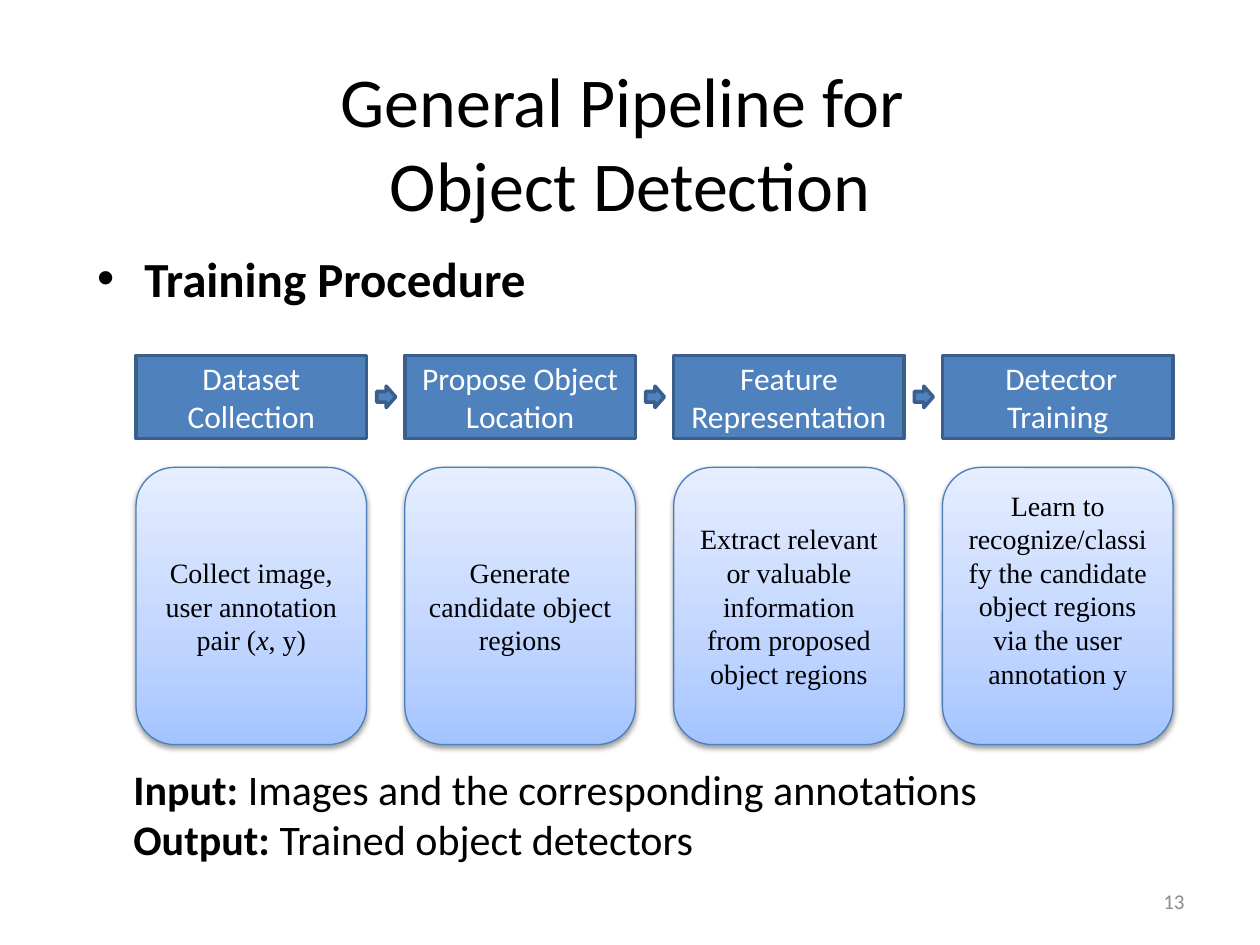
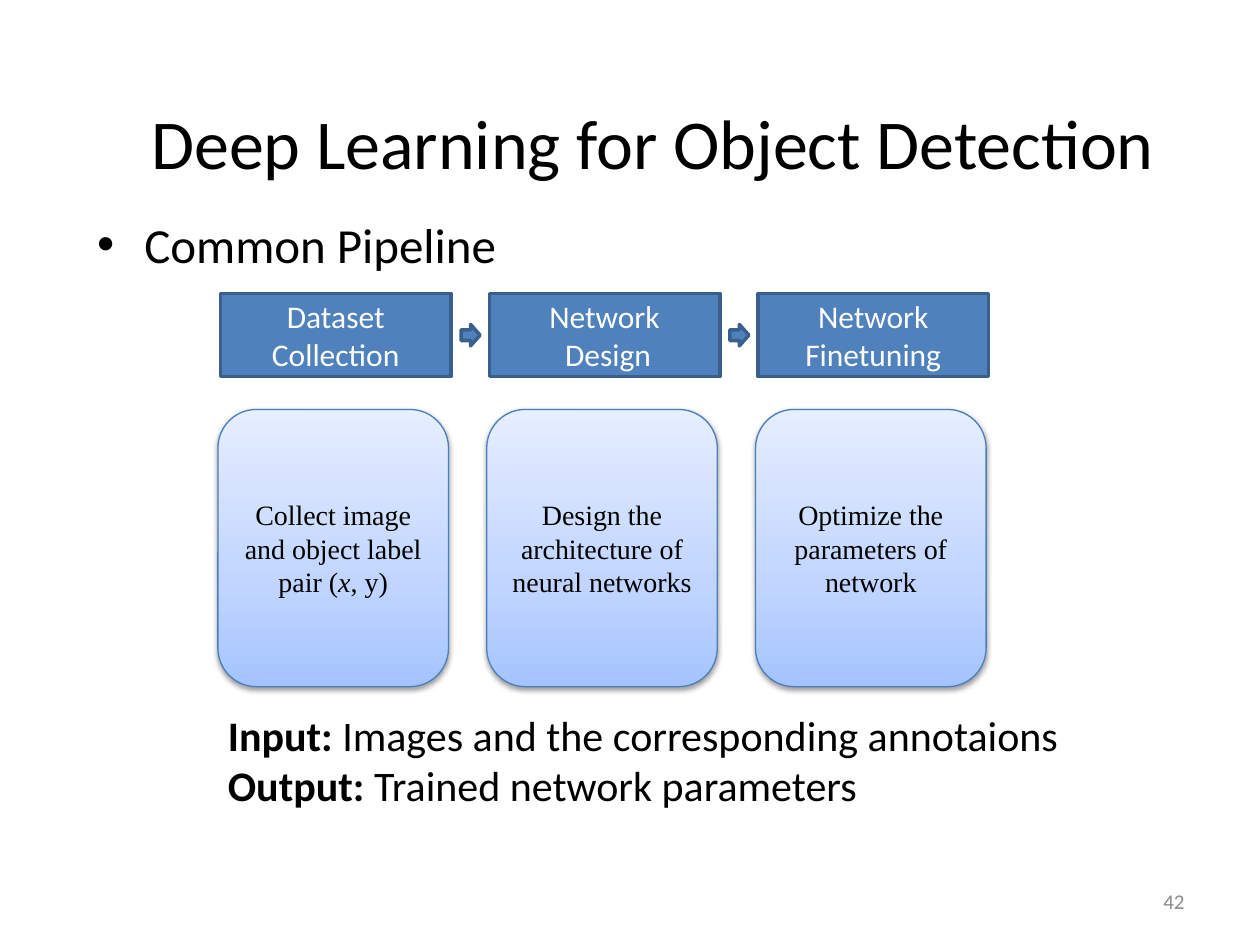
from copy import deepcopy
from dataclasses import dataclass

from pptx import Presentation
from pptx.dml.color import RGBColor
from pptx.enum import shapes, text
from pptx.oxml import parse_xml
from pptx.oxml.ns import nsdecls
from pptx.util import Inches, Pt


@dataclass(frozen=True)
class Theme:
    black: str = "000000"
    white: str = "FFFFFF"
    grey: str = "8C8C8C"
    step_fill: str = "4F81BD"
    step_line: str = "3A5F8C"
    card_line: str = "4B7EBC"
    card_stops: tuple = ((0, "A4C4FF"), (0.35, "BFD4FF"), (1, "E6EEFF"))
    sans: str = "Calibri"
    serif: str = "Times New Roman"
    title: int = 40
    body: int = 28
    summary: int = 24
    step: int = 18
    card: int = 16
    number: int = 12


THEME = Theme()
BOLD, ITALIC = {"bold": True}, {"italic": True}

# Pipeline grid, in inches
PITCH = 6.4 / 3
BOX_WIDTH, STEP_HEIGHT, CARD_HEIGHT = 1.83, 0.66, 2.2
ARROW_WIDTH, ARROW_HEIGHT, ARROW_OFFSET = 0.15, 0.17, 1.91

SHADOW = (
    f'<a:outerShdw {nsdecls("a")} blurRad="40000" dist="20000" dir="5400000" '
    'rotWithShape="0"><a:srgbClr val="000000"><a:alpha val="38000"/></a:srgbClr>'
    "</a:outerShdw>"
)


def box(left, top, width, height):
    return [Inches(value) for value in (left, top, width, height)]


def write(frame, paragraphs, size, color, font=THEME.sans,
          align=text.PP_ALIGN.CENTER, anchor=text.MSO_ANCHOR.MIDDLE):
    """Fill a frame; each paragraph is a string or a list of (text, format) runs."""
    frame.word_wrap = True
    frame.auto_size = text.MSO_AUTO_SIZE.NONE
    frame.vertical_anchor = anchor
    for index, content in enumerate(paragraphs):
        paragraph = frame.add_paragraph() if index else frame.paragraphs[0]
        paragraph.alignment = align
        paragraph.space_before = Pt(0)
        runs = [(content, {})] if isinstance(content, str) else content
        for words, extra in runs:
            # A line feed in a run becomes a line break
            for part, line in enumerate(words.split("\n")):
                if part:
                    paragraph.add_line_break()
                run = paragraph.add_run()
                run.text = line
                run.font.color.rgb = RGBColor.from_string(color)
                formats = {"name": font, "size": Pt(size), **extra}
                for key, value in formats.items():
                    setattr(run.font, key, value)


def place(placeholder, area):
    for key, value in zip(("left", "top", "width", "height"), area):
        setattr(placeholder, key, value)


def outline(shape, color, width):
    shape.line.color.rgb = RGBColor.from_string(color)
    shape.line.width = Pt(width)
    shape.shadow.inherit = False


def add_solid(slide, kind, area):
    solid = slide.shapes.add_shape(kind, *area)
    solid.fill.solid()
    solid.fill.fore_color.rgb = RGBColor.from_string(THEME.step_fill)
    outline(solid, THEME.step_line, 2)
    return solid


def add_step(slide, left, top, label):
    step = add_solid(slide, shapes.MSO_SHAPE.RECTANGLE,
                     box(left, top, BOX_WIDTH, STEP_HEIGHT))
    write(step.text_frame, label, THEME.step, THEME.white)


def add_card(slide, left, top, description, bottom_inset=0.05):
    card = slide.shapes.add_shape(shapes.MSO_SHAPE.ROUNDED_RECTANGLE,
                                  *box(left, top, BOX_WIDTH, CARD_HEIGHT))
    # Three-stop gradient, darkest at the bottom
    card.fill.gradient()
    card.fill.gradient_angle = 90
    first_stop = card._element.spPr.find(".//{*}gs")
    first_stop.addnext(deepcopy(first_stop))
    for stop, (position, color) in zip(card.fill.gradient_stops, THEME.card_stops):
        stop.position = position
        stop.color.rgb = RGBColor.from_string(color)
    outline(card, THEME.card_line, 0.75)
    card._element.spPr.find("{*}effectLst").append(parse_xml(SHADOW))
    card.text_frame.margin_bottom = Inches(bottom_inset)
    write(card.text_frame, [description], THEME.card, THEME.black, THEME.serif)


def add_pipeline(slide, steps, step_left, step_top, card_left, card_top):
    """Draw a row of steps with arrows between them and a card under each."""
    for index, (label, description, *inset) in enumerate(steps):
        shift = index * PITCH
        add_step(slide, step_left + shift, step_top, label)
        add_card(slide, card_left + shift, card_top, description, *inset)
        if index < len(steps) - 1:
            arrow_top = step_top + (STEP_HEIGHT - ARROW_HEIGHT) / 2
            add_solid(slide, shapes.MSO_SHAPE.RIGHT_ARROW,
                      box(step_left + shift + ARROW_OFFSET, arrow_top,
                          ARROW_WIDTH, ARROW_HEIGHT))


def add_summary(slide, left, top, inputs, outputs):
    summary = slide.shapes.add_textbox(*box(left, top, 7.12, 0.91))
    write(summary.text_frame,
          [[("Input: ", BOLD), (inputs, {})], [("Output: ", BOLD), (outputs, {})]],
          THEME.summary, THEME.black, align=text.PP_ALIGN.LEFT,
          anchor=text.MSO_ANCHOR.TOP)


def add_page(deck, title, title_width, bullet, body_top, body_width, number):
    """Start a slide with its title, bullet and page number."""
    slide = deck.slides.add_slide(deck.slide_layouts[1])
    heading, body = slide.placeholders
    place(heading, box(0.69, 0.4, title_width, 1.45))
    write(heading.text_frame, [title], THEME.title, THEME.black)
    place(body, box(0.67, body_top, body_width, 4.95))
    write(body.text_frame, [bullet], THEME.body, THEME.black,
          align=text.PP_ALIGN.LEFT, anchor=text.MSO_ANCHOR.TOP)
    page_number = slide.shapes.add_textbox(*box(7.17, 6.95, 2.33, 0.4))
    write(page_number.text_frame, [number], THEME.number, THEME.grey,
          align=text.PP_ALIGN.RIGHT)
    return slide


def main():
    deck = Presentation()
    deck.slide_width, deck.slide_height = Inches(10), Inches(7.5)

    # General training pipeline
    general = add_page(deck, "General Pipeline for \nObject Detection", 8.62,
                       [("Training Procedure", BOLD)], 1.92, 9, "13")
    general_steps = [
        (["Dataset Collection"],
         [("Collect image, user annotation pair (", {}), ("x", ITALIC), (", y)", {})]),
        (["Propose Object Location"], "Generate candidate object regions"),
        (["Feature Representation"],
         "Extract relevant or valuable information from proposed object regions"),
        ([" Detector", "Training"],
         "Learn to recognize/classify the candidate object regions "
         "via the user annotation y", 0.32),
    ]
    add_pipeline(general, general_steps, 1.08, 2.82, 1.08, 3.71)
    add_summary(general, 0.96, 6.01, "Images and the corresponding annotations",
                "Trained object detectors")

    # Deep learning pipeline
    deep = add_page(deck, "Deep Learning for Object Detection", 8.98,
                    "Common Pipeline", 1.65, 9.25, "42")
    deep_steps = [
        (["Dataset Collection"],
         [("Collect image and object label pair (", {}), ("x", ITALIC), (", y)", {})]),
        (["Network", " Design"], "Design the architecture of neural networks"),
        (["Network", "Finetuning"], "Optimize the parameters of network"),
    ]
    add_pipeline(deep, deep_steps, 1.75, 2.33, 1.73, 3.25)
    add_summary(deep, 1.71, 5.58, "Images and the corresponding annotaions",
                "Trained network parameters")

    deck.save("out.pptx")


if __name__ == "__main__":
    main()
